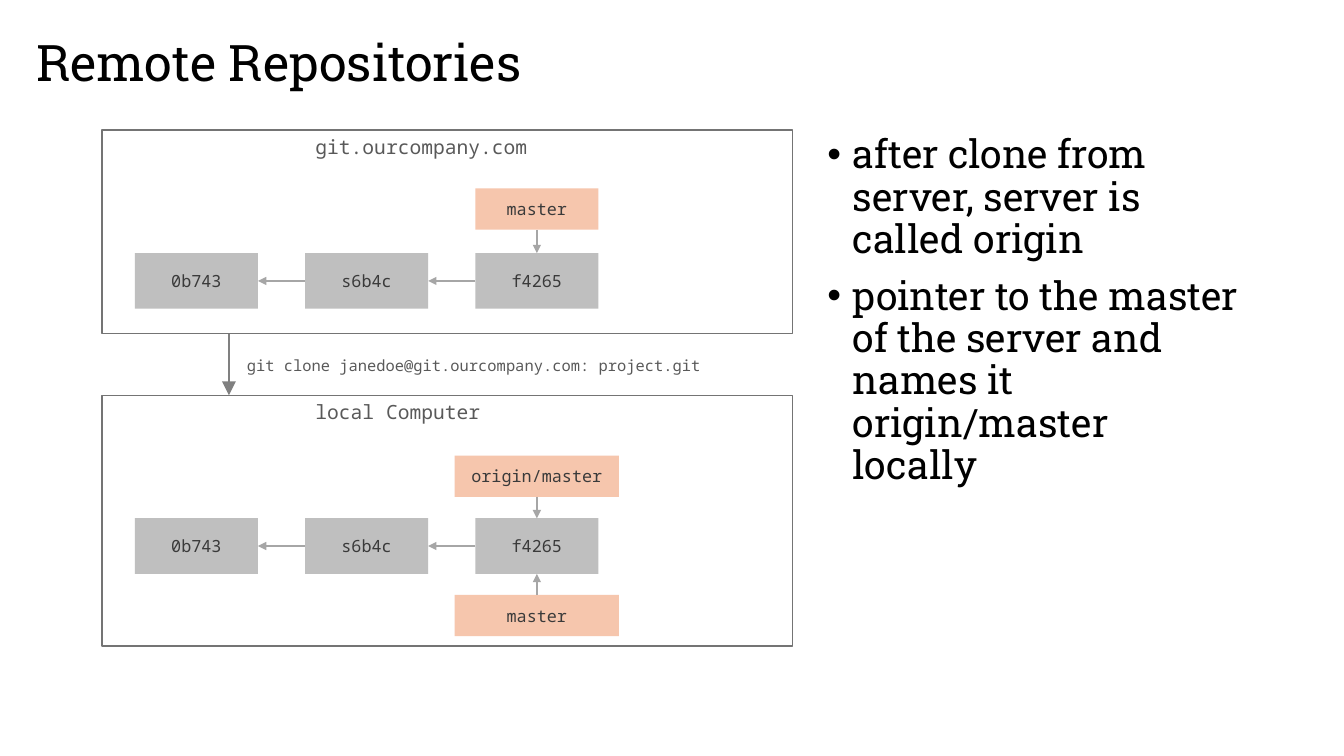
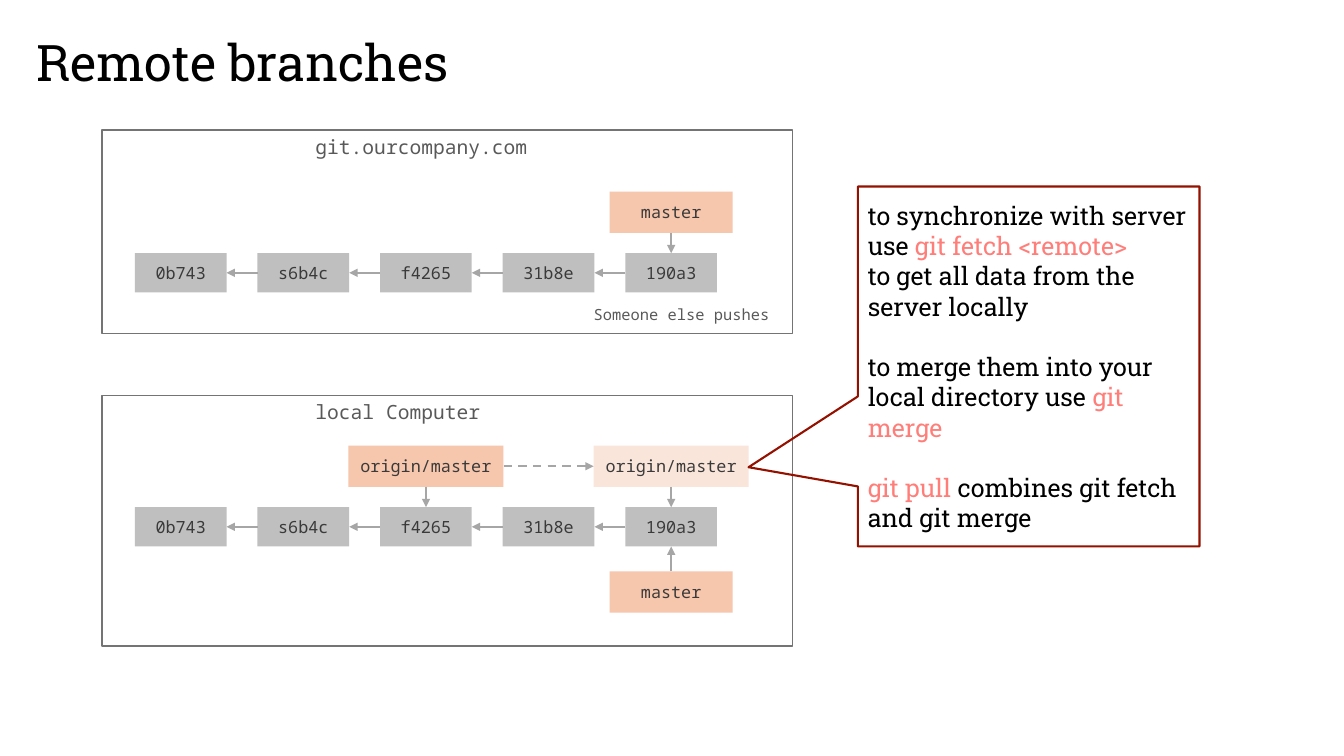
from lxml.etree import SubElement
from pptx import Presentation
from pptx.dml.color import RGBColor
from pptx.enum.dml import MSO_LINE
from pptx.enum.shapes import MSO_CONNECTOR, MSO_SHAPE
from pptx.enum.text import MSO_ANCHOR as ANCHOR, PP_ALIGN as ALIGN
from pptx.oxml.ns import qn
from pptx.util import Cm, Pt

BLACK = RGBColor(0x00, 0x00, 0x00)
DARK_GREY = RGBColor(0x3A, 0x3A, 0x3A)
TEXT_GREY = RGBColor(0x59, 0x59, 0x59)
PANEL_GREY = RGBColor(0x74, 0x74, 0x74)
CLONE_GREY = RGBColor(0x80, 0x80, 0x80)
ARROW_GREY = RGBColor(0xA6, 0xA6, 0xA6)
COMMIT_GREY = RGBColor(0xBF, 0xBF, 0xBF)
PEACH = RGBColor(0xF6, 0xC6, 0xAD)
DARK_RED = RGBColor(0x94, 0x11, 0x00)
CORAL = RGBColor(0xFF, 0x7E, 0x79)

SLAB, MONO = "Roboto Slab", "Noto Sans Mono"
TITLE_FONT = {"name": SLAB, "size": Pt(36)}
BULLET_FONT = {"name": SLAB, "size": Pt(28)}
CALLOUT_FONT = {"name": SLAB, "size": Pt(18)}
PANEL_FONT = {"name": MONO, "size": Pt(14)}
BOX_FONT = {"name": MONO, "size": Pt(12)}
NOTE_FONT = {"name": MONO, "size": Pt(11)}

LEFT = {"alignment": ALIGN.LEFT}
CENTER = {"alignment": ALIGN.CENTER}
BULLET = {"alignment": ALIGN.LEFT, "line_spacing": 0.9, "space_before": Pt(10)}

TOP_SITE, LEFT_SITE, BOTTOM_SITE, RIGHT_SITE = range(4)

PANEL_LEFT, PANEL_WIDTH = Cm(2.57), Cm(17.4)
PANELS = [
    ("git.ourcompany.com", Cm(3.28), Cm(5.13), Cm(5.89)),
    ("local Computer", Cm(9.96), Cm(6.32), Cm(4.7)),
]
FIRST_COMMIT_LEFT = Cm(3.4)
LABEL_HEIGHT = Cm(1.04)

# Each label: text, index of its commit, top, width, opacity in percent
DIAGRAMS = [
    {
        "title": "Remote Repositories",
        "commits": ["0b743", "s6b4c", "f4265"],
        "size": (Cm(3.1), Cm(1.4)),
        "step": Cm(4.29),
        "rows": [
            (Cm(6.38), [("master", 2, Cm(4.75), Cm(3.1), 100)]),
            (Cm(13.06), [
                ("origin/master", 2, Cm(11.48), Cm(4.14), 100),
                ("master", 2, Cm(14.99), Cm(4.14), 100),
            ]),
        ],
    },
    {
        "title": "Remote branches",
        "commits": ["0b743", "s6b4c", "f4265", "31b8e", "190a3"],
        "size": (Cm(2.31), Cm(0.99)),
        "step": Cm(3.09),
        "rows": [
            (Cm(6.38), [("master", 4, Cm(4.83), Cm(3.1), 100)]),
            (Cm(12.78), [
                ("master", 4, Cm(14.4), Cm(3.1), 100),
                ("origin/master", 2, Cm(11.23), Cm(3.91), 100),
                ("origin/master", 4, Cm(11.23), Cm(3.91), 45),
            ]),
        ],
    },
]


def write(frame, paragraphs, font_format, paragraph_format):
    """Fill a text frame with paragraphs, each a list of (text, colour) runs."""
    for index, runs in enumerate(paragraphs):
        paragraph = frame.paragraphs[0] if index == 0 else frame.add_paragraph()
        for name, value in paragraph_format.items():
            setattr(paragraph, name, value)
        for text, colour in runs:
            if text == "\n":
                paragraph.add_line_break()
                continue
            run = paragraph.add_run()
            run.text = text
            run.font.color.rgb = colour
            for name, value in font_format.items():
                setattr(run.font, name, value)


def add_arrow(slide, start, end, colour=ARROW_GREY, head="med"):
    connector = slide.shapes.add_connector(MSO_CONNECTOR.STRAIGHT, *start, *end)
    connector.line.color.rgb = colour
    connector.line.width = Pt(1.5)
    line = connector.line._get_or_add_ln()
    SubElement(line, qn("a:tailEnd"), type="triangle", w=head, len=head)
    SubElement(connector.element.spPr, qn("a:effectLst"))
    return connector


presentation = Presentation()
presentation.slide_width, presentation.slide_height = Cm(33.87), Cm(19.05)
labels = []

for diagram in DIAGRAMS:
    slide = presentation.slides.add_slide(presentation.slide_layouts[5])
    title = slide.shapes.title
    title.left, title.top, title.width, title.height = Cm(0.66), Cm(0.64), Cm(31.9), Cm(1.8)
    title.text_frame.vertical_anchor = ANCHOR.MIDDLE
    write(title.text_frame, [[(diagram["title"], BLACK)]], TITLE_FONT, LEFT)

    for caption, top, height, caption_width in PANELS:
        panel = slide.shapes.add_shape(MSO_SHAPE.RECTANGLE, PANEL_LEFT, top, PANEL_WIDTH, height)
        panel.shadow.inherit = False
        panel.fill.background()
        panel.line.color.rgb = PANEL_GREY
        panel.line.width = Pt(1)
        caption_box = slide.shapes.add_textbox(Cm(7.7), top, caption_width, Cm(0.86))
        caption_box.text_frame.word_wrap = False
        write(caption_box.text_frame, [[(caption, TEXT_GREY)]], PANEL_FONT, LEFT)

    width, height = diagram["size"]
    for row_top, row_labels in diagram["rows"]:
        boxes = [
            (text, FIRST_COMMIT_LEFT + index * diagram["step"], row_top, width, height, COMMIT_GREY)
            for index, text in enumerate(diagram["commits"])
        ]
        for text, index, top, label_width, opacity in row_labels:
            center = FIRST_COMMIT_LEFT + index * diagram["step"] + width // 2
            boxes.append((text, center - label_width // 2, top, label_width, LABEL_HEIGHT, PEACH))

        shapes = []
        for text, *bounds, colour in boxes:
            shape = slide.shapes.add_shape(MSO_SHAPE.RECTANGLE, *bounds)
            shape.shadow.inherit = False
            shape.fill.solid()
            shape.fill.fore_color.rgb = colour
            shape.line.fill.background()
            shape.text_frame.vertical_anchor = ANCHOR.MIDDLE
            write(shape.text_frame, [[(text, DARK_GREY)]], BOX_FONT, CENTER)
            shapes.append(shape)

        commits = shapes[:len(diagram["commits"])]
        row_shapes = shapes[len(commits):]
        links = [
            (child, LEFT_SITE, parent, RIGHT_SITE)
            for parent, child in zip(commits, commits[1:])
        ]
        for label, (text, index, top, label_width, opacity) in zip(row_shapes, row_labels):
            sites = (BOTTOM_SITE, TOP_SITE) if top < row_top else (TOP_SITE, BOTTOM_SITE)
            links.append((label, sites[0], commits[index], sites[1]))
            if opacity < 100:
                fill_colour = label.element.spPr.find(".//" + qn("a:srgbClr"))
                SubElement(fill_colour, qn("a:alpha"), val=str(opacity * 1000))
        for source, source_site, target, target_site in links:
            arrow = add_arrow(slide, (0, 0), (0, 0))
            arrow.begin_connect(source, source_site)
            arrow.end_connect(target, target_site)
        labels.extend(row_shapes)

repositories_slide, branches_slide = presentation.slides

# Notes beside the panels
for slide, text, left, top, width in [
    (repositories_slide, "git clone janedoe@git.ourcompany.com: project.git", Cm(5.97), Cm(8.84), Cm(12.07)),
    (branches_slide, "Someone else pushes", Cm(14.71), Cm(7.57), Cm(5)),
]:
    note = slide.shapes.add_textbox(left, top, width, Cm(0.74))
    note.text_frame.word_wrap = False
    write(note.text_frame, [[(text, TEXT_GREY)]], NOTE_FONT, LEFT)

# Clone arrow and bullets
add_arrow(repositories_slide, (Cm(5.77), Cm(8.41)), (Cm(5.77), Cm(9.96)), CLONE_GREY, "lg")

bullets = repositories_slide.shapes.add_textbox(Cm(20.6), Cm(3.28), Cm(10.95), Cm(13))
bullets.text_frame.word_wrap = True
write(bullets.text_frame, [
    [("after clone from server, server is called origin", BLACK)],
    [("pointer to the master of the server and names it origin/master locally", BLACK)],
], BULLET_FONT, BULLET)
for paragraph in bullets.text_frame.paragraphs:
    properties = paragraph._p.get_or_add_pPr()
    properties.set("marL", str(Cm(0.64)))
    properties.set("indent", str(-Cm(0.64)))
    SubElement(properties, qn("a:buFont"), typeface="Arial")
    SubElement(properties, qn("a:buChar"), char="•")

# Fetch arrow and callout
old_position, new_position = labels[-2:]
fetch_arrow = add_arrow(branches_slide, (0, 0), (0, 0))
fetch_arrow.begin_connect(old_position, RIGHT_SITE)
fetch_arrow.end_connect(new_position, LEFT_SITE)
fetch_arrow.line.dash_style = MSO_LINE.DASH

callout = branches_slide.shapes.add_shape(
    MSO_SHAPE.RECTANGULAR_CALLOUT, Cm(21.62), Cm(4.7), Cm(8.61), Cm(9.07))
callout.adjustments[0], callout.adjustments[1] = -0.82, 0.28
callout.shadow.inherit = False
callout.fill.background()
callout.line.color.rgb = DARK_RED
callout.line.width = Pt(1.5)
callout.text_frame.vertical_anchor = ANCHOR.MIDDLE
write(callout.text_frame, [
    [
        ("to synchronize with server use ", BLACK),
        ("git fetch <remote>", CORAL),
        ("\n", CORAL),
        ("to get all data from the server locally", BLACK),
    ],
    [("to merge them into your local directory use ", BLACK), ("git merge", CORAL)],
    [("git pull ", CORAL), ("combines git fetch and git merge", BLACK)],
], CALLOUT_FONT, LEFT)
for paragraph in callout.text_frame.paragraphs[1:]:
    paragraph.space_before = Pt(21.6)

presentation.save("out.pptx")
